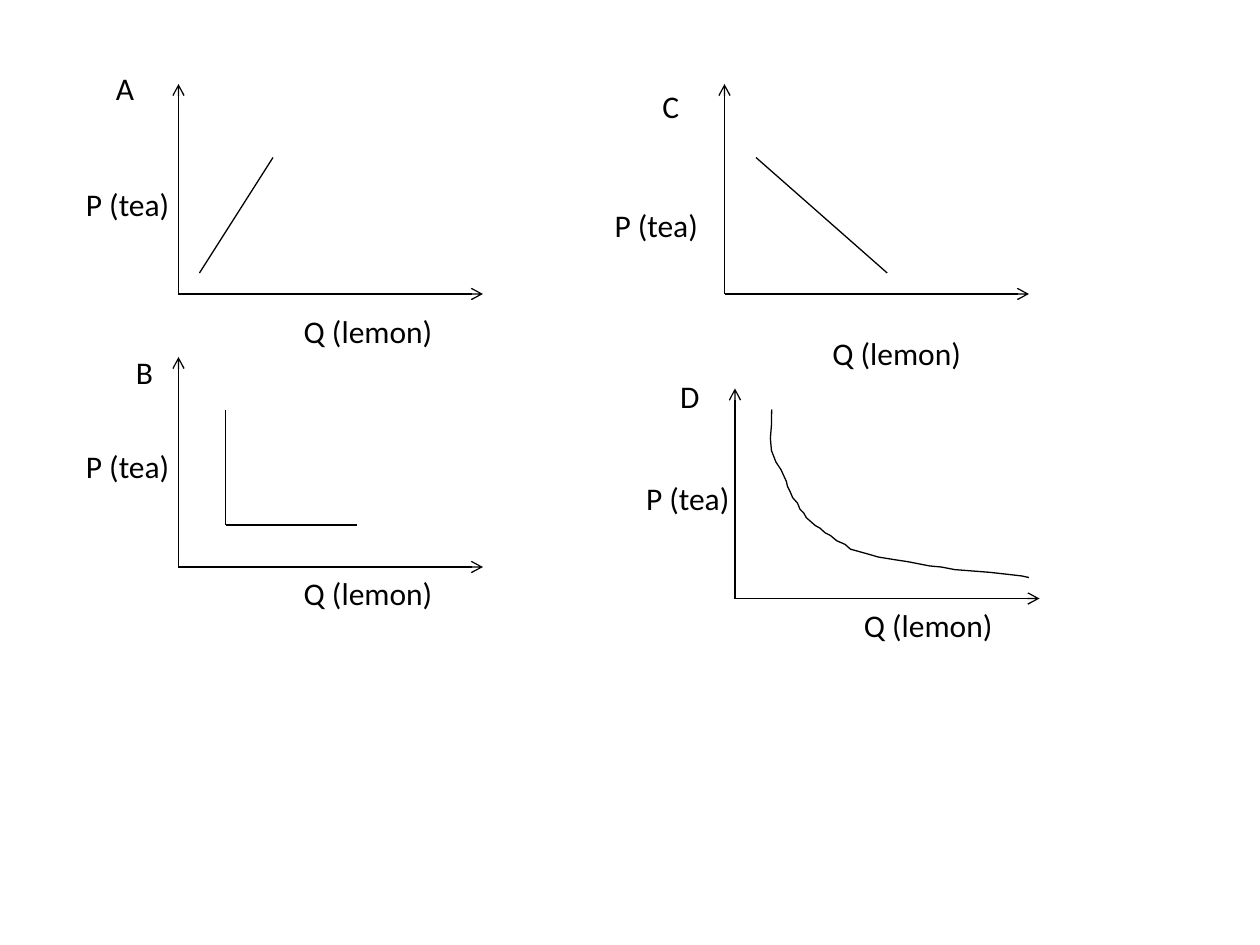
from itertools import pairwise

from lxml.etree import SubElement
from pptx import Presentation
from pptx.dml.color import RGBColor
from pptx.enum.shapes import MSO_CONNECTOR
from pptx.enum.text import MSO_AUTO_SIZE
from pptx.oxml.ns import qn
from pptx.util import Emu, Inches, Pt

BLACK = RGBColor(0, 0, 0)
COLUMNS, ROWS = 240, 180
GRAPH_WIDTH, GRAPH_HEIGHT = 58, 40
LABEL_HEIGHT = 9.6
NAME_WIDTH, PRICE_WIDTH, QUANTITY_WIDTH = 8.4, 20.9, 29.8

CONVEX_CURVE = [
    (7, 4), (6.95, 7), (6.75, 9.5), (6.95, 11.8), (7.8, 14), (8.8, 15.5),
    (9.8, 17.7), (10, 18.6), (10.5, 19.6), (11, 20.8), (11.9, 21.8),
    (12.4, 23), (13.1, 23.7), (13.6, 24.6), (15.3, 26.1), (16.2, 26.6),
    (17.2, 27.5), (18.2, 28), (19.4, 29), (21, 29.7), (22, 30.6),
    (25.6, 31.6), (27.3, 32.1), (30.4, 32.6), (33, 33), (37.1, 33.8),
    (39.3, 34), (41.9, 34.5), (48.4, 35), (52, 35.4), (54.6, 35.7), (56, 36),
]

GRAPHS = [
    ("A", (34, 16), (-14.3, -4), (-20, 18), (21.5, 42.3), [(18, 14), (4, 36)]),
    ("B", (34, 68), (-10.5, -2), (-20, 16), (21.5, 40.2), [(9, 10), (9, 32), (34, 32)]),
    ("C", (138, 16), (-14.2, -0.6), (-23.3, 22), (18.2, 46.4), [(6, 14), (31, 36)]),
    ("D", (140, 74), (-12.8, -3.4), (-19.3, 16), (22.2, 40.2), CONVEX_CURVE),
]

deck = Presentation()
deck.slide_width, deck.slide_height = Inches(10), Inches(7.5)
CELL_WIDTH = deck.slide_width / COLUMNS
CELL_HEIGHT = deck.slide_height / ROWS


def place(origin, point):
    return (Emu(round((origin[0] + point[0]) * CELL_WIDTH)),
            Emu(round((origin[1] + point[1]) * CELL_HEIGHT)))


def style_line(line):
    line.color.rgb = BLACK
    line.width = Pt(0.75)


def add_straight(page, origin, start, end, arrow=False):
    connector = page.shapes.add_connector(
        MSO_CONNECTOR.STRAIGHT, *place(origin, start), *place(origin, end))
    style_line(connector.line)
    if arrow:
        SubElement(connector.line._get_or_add_ln(), qn("a:tailEnd"), type="arrow")
    SubElement(connector._element.spPr, qn("a:effectLst"))


def add_curve(page, origin, points):
    start, *others = [place(origin, point) for point in points]
    builder = page.shapes.build_freeform(*start)
    builder.add_line_segments(others, close=False)
    curve = builder.convert_to_shape()
    curve.shadow.inherit = False
    curve.fill.background()
    style_line(curve.line)


def add_label(page, origin, offset, width, text):
    size = place((0, 0), (width, LABEL_HEIGHT))
    frame = page.shapes.add_textbox(*place(origin, offset), *size).text_frame
    frame.word_wrap = False
    frame.auto_size = MSO_AUTO_SIZE.SHAPE_TO_FIT_TEXT
    para = frame.paragraphs[0]
    para.text = text
    para.font.name = "Calibri"
    para.font.size = Pt(18)
    para.font.color.rgb = BLACK


def add_graph(page, name, origin, name_at, price_at, quantity_at, points):
    corner = (0, GRAPH_HEIGHT)
    add_straight(page, origin, corner, (0, 0), arrow=True)
    add_straight(page, origin, corner, (GRAPH_WIDTH, GRAPH_HEIGHT), arrow=True)
    if points is CONVEX_CURVE:
        add_curve(page, origin, points)
    else:
        for start, end in pairwise(points):
            add_straight(page, origin, start, end)
    add_label(page, origin, name_at, NAME_WIDTH, name)
    add_label(page, origin, price_at, PRICE_WIDTH, "P (tea)")
    add_label(page, origin, quantity_at, QUANTITY_WIDTH, "Q (lemon)")


page = deck.slides.add_slide(deck.slide_layouts[6])
for graph in GRAPHS:
    add_graph(page, *graph)
deck.save("out.pptx")
